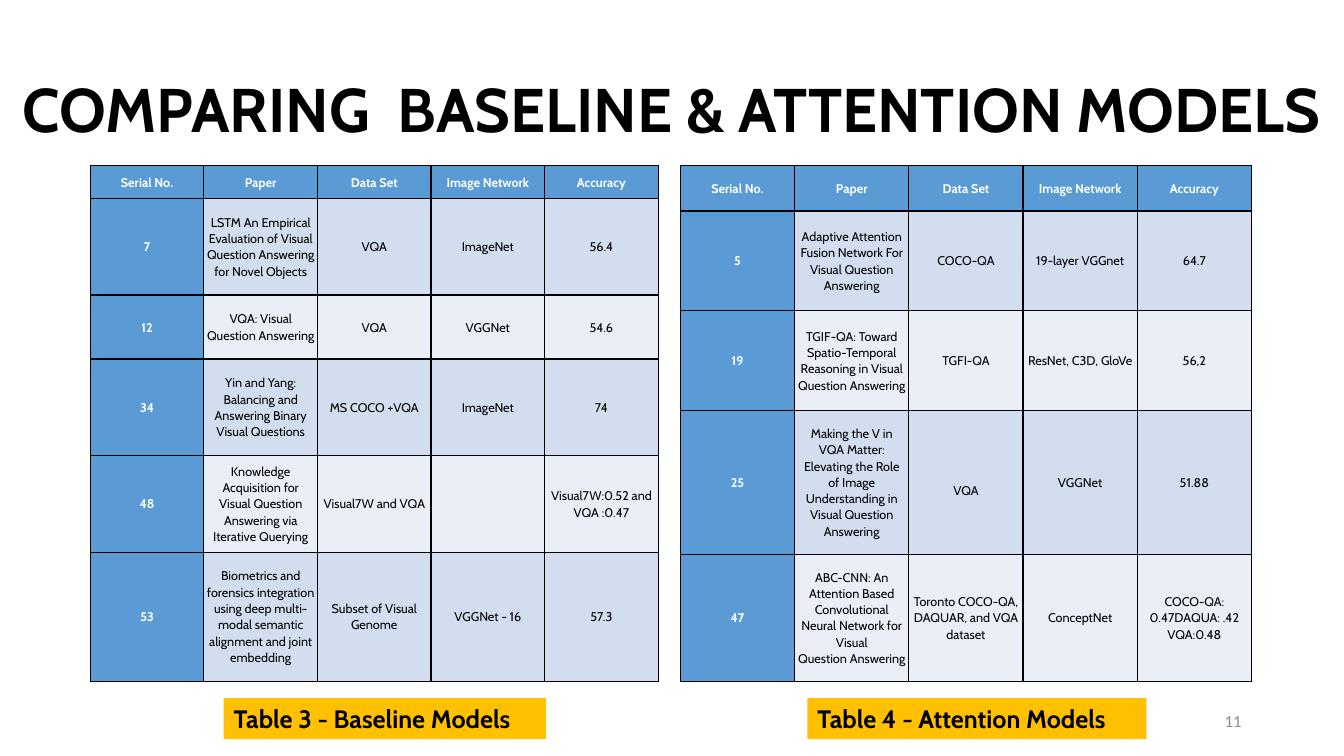
import pptx
import pptx.util
import pptx.dml.color
import pptx.enum.shapes
import pptx.enum.text
import pptx.oxml
import pptx.oxml.ns

RGBColor = pptx.dml.color.RGBColor
ALIGN = pptx.enum.text.PP_ALIGN
ANCHOR = pptx.enum.text.MSO_ANCHOR
AUTO_SIZE = pptx.enum.text.MSO_AUTO_SIZE

BLACK = RGBColor(0x00, 0x00, 0x00)
WHITE = RGBColor(0xFF, 0xFF, 0xFF)
GRAY = RGBColor(0x8C, 0x8C, 0x8C)
AMBER = RGBColor(0xFF, 0xC0, 0x00)
HEADER_BLUE = RGBColor(0x5B, 0x9B, 0xD5)
BAND_BLUES = (RGBColor(0xEA, 0xEF, 0xF7), RGBColor(0xD2, 0xDE, 0xEF))

EMU_PER_PX = 9525
TABLE_TOP = 158
CELL_INSET = 3
LINE_HEIGHT = 15

HEADINGS = ("Serial No.", "Paper", "Data Set", "Image Network", "Accuracy")
BASELINE_ROWS = (
    HEADINGS,
    ("7", "LSTM An Empirical Evaluation of Visual Question Answering for Novel Objects",
     "VQA", "ImageNet", "56.4"),
    ("12", "VQA: Visual Question Answering", "VQA", "VGGNet", "54.6"),
    ("34", "Yin and Yang: Balancing and Answering Binary Visual Questions",
     "MS COCO +VQA", "ImageNet", "74"),
    ("48", "Knowledge Acquisition for Visual Question Answering via Iterative Querying",
     "Visual7W and VQA", "", "Visual7W:0.52 and VQA :0.47"),
    ("53", "Biometrics and forensics integration using deep multi-modal "
     "semantic alignment and joint embedding",
     "Subset of Visual Genome", "VGGNet - 16", "57.3"),
)
ATTENTION_ROWS = (
    HEADINGS,
    ("5", "Adaptive Attention Fusion Network For Visual Question Answering",
     "COCO-QA", "19-layer VGGnet", "64.7"),
    ("19", "TGIF-QA: Toward Spatio-Temporal Reasoning in Visual Question Answering",
     "TGFI-QA", "ResNet, C3D, GloVe", "56,2"),
    ("25", "Making the V in VQA Matter:\nElevating the Role of Image Understanding "
     "in Visual Question Answering",
     "VQA", "VGGNet", "51.88"),
    ("47", "ABC-CNN: An Attention Based Convolutional Neural Network for Visual\n"
     "Question Answering",
     "Toronto COCO-QA, DAQUAR, and VQA\ndataset", "ConceptNet",
     "COCO-QA: 0.47DAQUA: .42 VQA:0.48"),
)


def px(*lengths):
    return [pptx.util.Emu(length * EMU_PER_PX) for length in lengths]


def write_text(text_frame, text, size, color, alignment, bold=False,
               font_name="Cabin", line_spacing=1.0):
    for index, line in enumerate(text.split("\n")):
        paragraph = text_frame.add_paragraph() if index else text_frame.paragraphs[0]
        paragraph.alignment = alignment
        paragraph.line_spacing = line_spacing
        run = paragraph.add_run()
        run.text = line
        run.font.name = font_name
        run.font.size = pptx.util.Pt(size)
        run.font.bold = bold
        run.font.color.rgb = color


def add_title(slide, text):
    title = slide.shapes.title
    title.left, title.top, title.width, title.height = px(0, 38, 1280, 139)
    text_frame = title.text_frame
    text_frame.word_wrap = True
    text_frame.auto_size = AUTO_SIZE.NONE
    text_frame.vertical_anchor = ANCHOR.MIDDLE
    write_text(text_frame, text, 44, BLACK, ALIGN.CENTER, bold=True, line_spacing=0.9)


def add_borders(cell):
    properties = cell._tc.get_or_add_tcPr()
    for side in ("lnL", "lnR", "lnT", "lnB"):
        properties.append(pptx.oxml.parse_xml(
            f'<a:{side} {pptx.oxml.ns.nsdecls("a")} w="12700"><a:solidFill>'
            f'<a:srgbClr val="{BLACK}"/></a:solidFill></a:{side}>'))


def format_cell(cell, text, is_heading, band):
    add_borders(cell)
    cell.fill.solid()
    cell.fill.fore_color.rgb = HEADER_BLUE if is_heading else BAND_BLUES[band]
    cell.vertical_anchor = ANCHOR.MIDDLE
    cell.margin_left, cell.margin_right, cell.margin_top, cell.margin_bottom = px(
        CELL_INSET, CELL_INSET, 0, 0)
    if text:
        write_text(cell.text_frame, text, 9, WHITE if is_heading else BLACK,
                   ALIGN.CENTER, bold=is_heading, line_spacing=1.07)


def add_model_table(slide, left, width, row_heights, rows):
    frame = slide.shapes.add_table(
        len(rows), len(HEADINGS), *px(left, TABLE_TOP, width, sum(row_heights)))
    table = frame.table
    for column in table.columns:
        column.width = px(width)[0] // len(HEADINGS)
    for row_index, (height, values) in enumerate(zip(row_heights, rows)):
        table.rows[row_index].height = px(height)[0]
        for column_index, text in enumerate(values):
            is_heading = row_index == 0 or column_index == 0
            format_cell(table.cell(row_index, column_index), text,
                        is_heading, row_index % 2)
    return table


def add_caption(slide, left, width, text):
    caption = slide.shapes.add_shape(
        pptx.enum.shapes.MSO_SHAPE.RECTANGLE, *px(left, 665, width, 39))
    caption.shadow.inherit = False
    caption.fill.solid()
    caption.fill.fore_color.rgb = AMBER
    caption.line.fill.background()
    text_frame = caption.text_frame
    text_frame.word_wrap = True
    text_frame.auto_size = AUTO_SIZE.SHAPE_TO_FIT_TEXT
    text_frame.vertical_anchor = ANCHOR.TOP
    write_text(text_frame, text, 18, BLACK, ALIGN.LEFT, bold=True)


def add_page_number(slide, text):
    text_frame = slide.shapes.add_textbox(*px(904, 667, 288, 38)).text_frame
    text_frame.word_wrap = True
    text_frame.vertical_anchor = ANCHOR.MIDDLE
    write_text(text_frame, text, 12, GRAY, ALIGN.RIGHT, font_name="Calibri")


def main():
    presentation = pptx.Presentation()
    presentation.slide_width, presentation.slide_height = px(1280, 720)
    slide = presentation.slides.add_slide(presentation.slide_layouts[5])
    add_title(slide, "COMPARING  BASELINE & ATTENTION MODELS")
    add_model_table(slide, 86, 541, (31, 92, 61, 92, 92, 123), BASELINE_ROWS)
    attention_table = add_model_table(
        slide, 648, 544, (43, 95, 95, 137, 121), ATTENTION_ROWS)
    attention_table.cell(3, 2).margin_top = px(LINE_HEIGHT)[0]
    add_page_number(slide, "11")
    add_caption(slide, 213, 307, "Table 3 - Baseline Models")
    add_caption(slide, 769, 323, "Table 4 - Attention Models")
    presentation.save("out.pptx")


if __name__ == "__main__":
    main()
